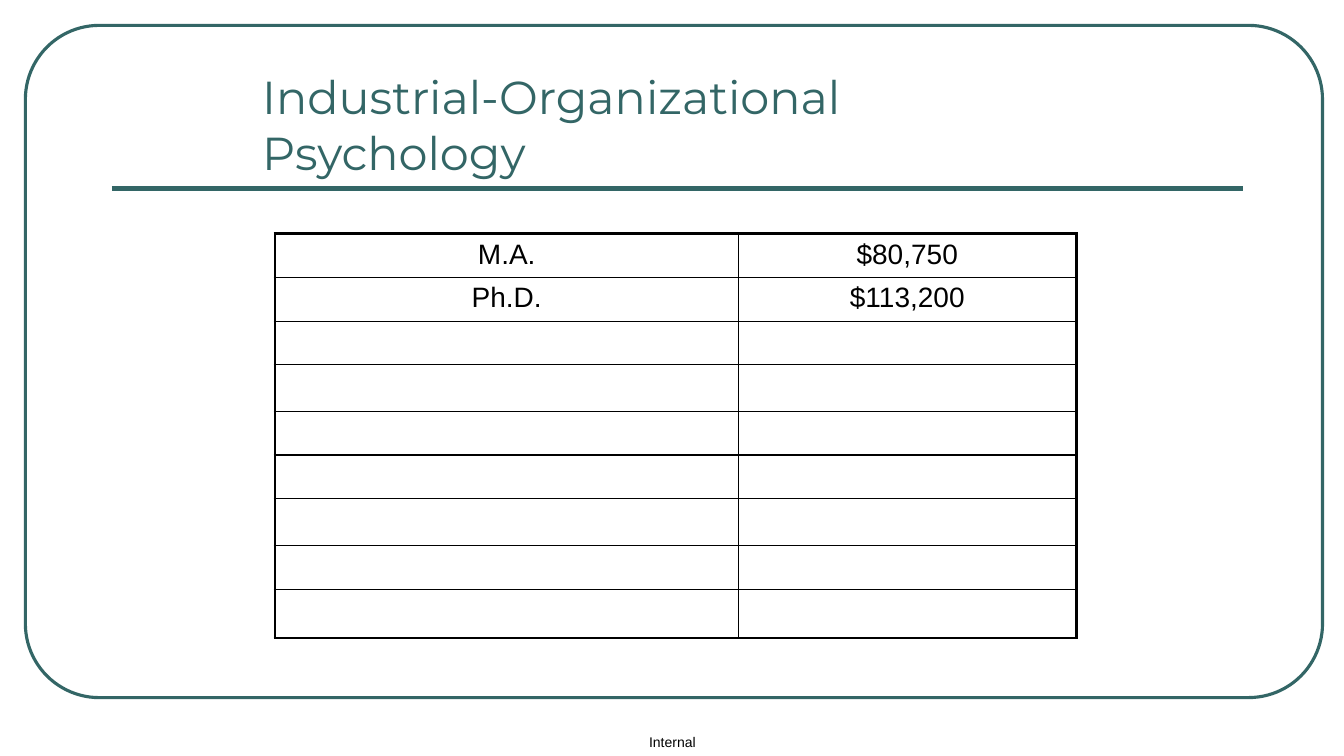
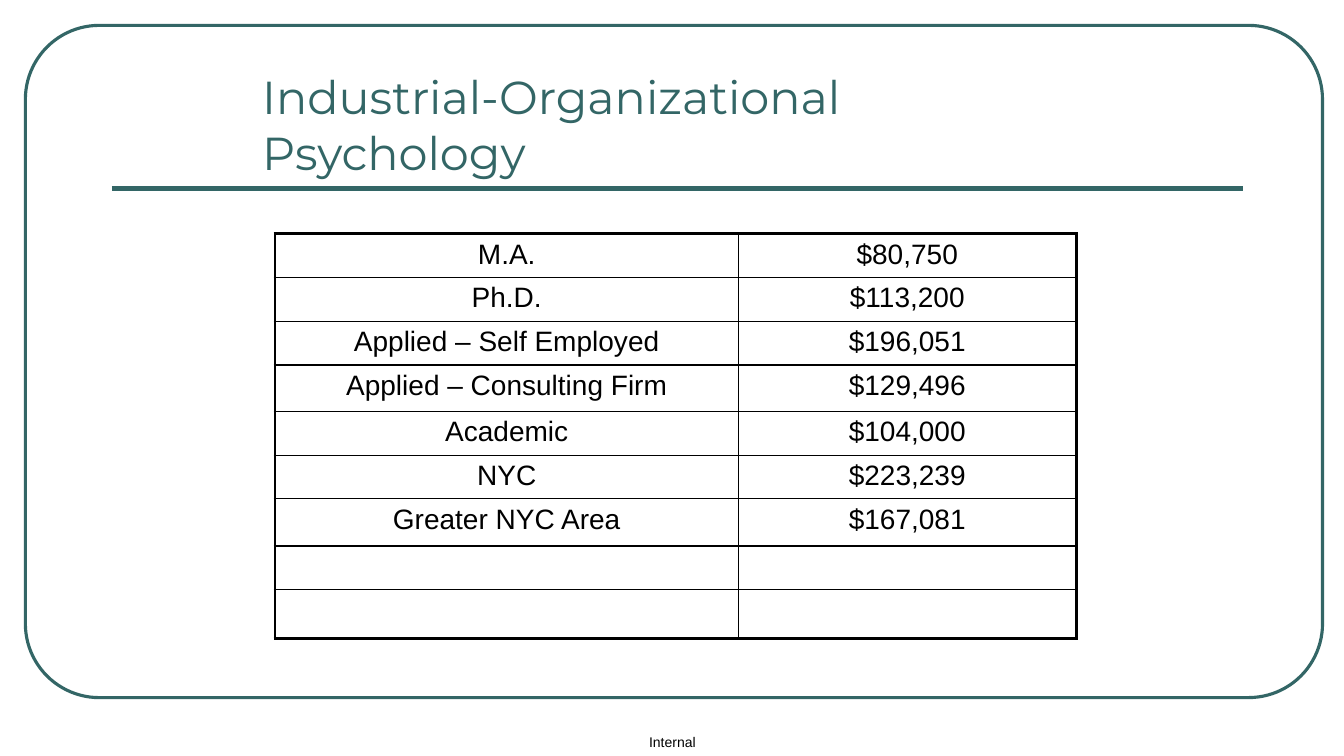
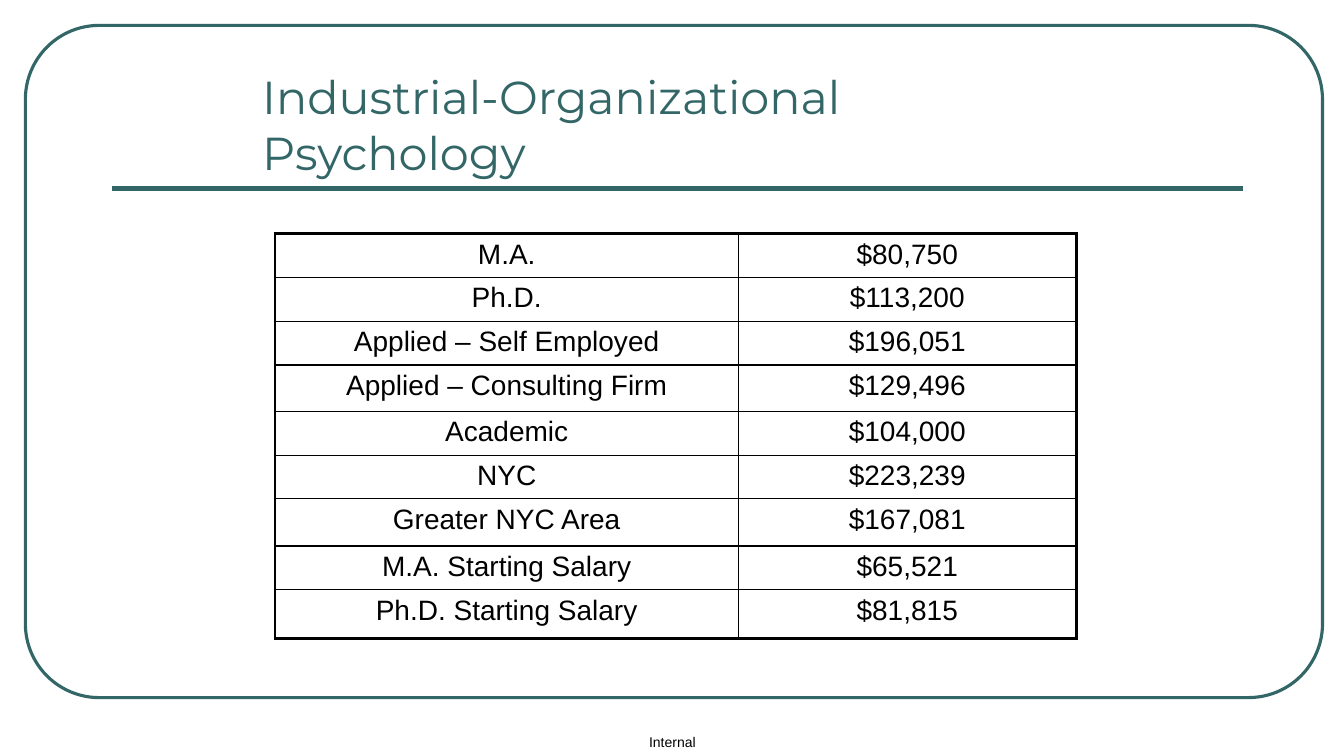
"""Build three slides that reveal a salary table step by step."""
from dataclasses import dataclass

from lxml.etree import SubElement
from pptx import Presentation
from pptx.dml.color import RGBColor
from pptx.enum.shapes import MSO_CONNECTOR, MSO_SHAPE
from pptx.enum.text import MSO_ANCHOR, MSO_AUTO_SIZE, PP_ALIGN
from pptx.oxml.ns import qn
from pptx.util import Cm, Pt

SALARIES = [
    ("M.A.", "$80,750"),
    ("Ph.D.", "$113,200"),
    ("Applied – Self Employed", "$196,051"),
    ("Applied – Consulting Firm", "$129,496"),
    ("Academic", "$104,000"),
    ("NYC", "$223,239"),
    ("Greater NYC Area", "$167,081"),
    ("M.A. Starting Salary", "$65,521"),
    ("Ph.D. Starting Salary", "$81,815"),
]
REVEALED_ROWS = (2, 7, 9)
COLUMN_WIDTHS = (11.68, 8.51)
ROW_HEIGHTS = (1.1, 1.1, 1.1, 1.17, 1.1, 1.1, 1.19, 1.1, 1.22)


@dataclass(frozen=True)
class Theme:
    """Colours, fonts, type sizes and line widths of the deck."""

    accent: RGBColor = RGBColor(0x33, 0x66, 0x66)
    ink: RGBColor = RGBColor(0, 0, 0)
    title_font: str = "Montserrat"
    body_font: str = "Arial"
    title_size: Pt = Pt(33)
    table_size: Pt = Pt(20)
    footer_size: Pt = Pt(10)
    frame_width: Pt = Pt(2.25)
    rule_width: Pt = Pt(3)
    outer_border: Pt = Pt(2.25)
    inner_border: Pt = Pt(1)


def apply_format(target, values):
    """Set each named attribute of the target."""
    for name, value in values.items():
        setattr(target, name, value)


class SlideBuilder:
    """Hold the theme and the current slide and draw its elements."""

    def __init__(self, presentation, theme):
        """Keep the presentation and the theme."""
        self.presentation = presentation
        self.theme = theme
        self.slide = None

    def start_slide(self):
        """Add a title-only slide and make it current."""
        layout = self.presentation.slide_layouts[5]
        self.slide = self.presentation.slides.add_slide(layout)

    def fill_text(self, text_frame, text, alignment, name, size, color):
        """Put one formatted paragraph into a text frame."""
        paragraph = text_frame.paragraphs[0]
        paragraph.alignment = alignment
        run = paragraph.add_run()
        run.text = text
        apply_format(run.font, {"name": name, "size": size})
        run.font.color.rgb = color

    def title(self, text):
        """Place and fill the title placeholder."""
        shape = self.slide.shapes.title
        apply_format(shape, {"left": Cm(6.35), "top": Cm(1.47),
                             "width": Cm(21.39), "height": Cm(3.18)})
        apply_format(shape.text_frame, {
            "vertical_anchor": MSO_ANCHOR.BOTTOM,
            "auto_size": MSO_AUTO_SIZE.NONE, "word_wrap": True})
        self.fill_text(shape.text_frame, text, PP_ALIGN.LEFT,
                       self.theme.title_font, self.theme.title_size,
                       self.theme.accent)

    def frame(self):
        """Draw the rounded outline around the slide."""
        shape = self.slide.shapes.add_shape(
            MSO_SHAPE.ROUNDED_RECTANGLE, Cm(0.64), Cm(0.64), Cm(32.69), Cm(16.94))
        shape.adjustments[0] = 0.11
        shape.shadow.inherit = False
        shape.fill.background()
        shape.line.color.rgb = self.theme.accent
        shape.line.width = self.theme.frame_width

    def rule(self):
        """Draw the line below the title."""
        connector = self.slide.shapes.add_connector(
            MSO_CONNECTOR.STRAIGHT, Cm(2.82), Cm(4.75), Cm(31.32), Cm(4.75))
        connector.line.color.rgb = self.theme.accent
        connector.line.width = self.theme.rule_width
        SubElement(connector._element.spPr, qn("a:effectLst"))

    def footer(self, text):
        """Place the centred footer label."""
        shape = self.slide.shapes.add_textbox(
            Cm(15.98), Cm(18.36), Cm(1.93), Cm(0.69))
        apply_format(shape.text_frame, {
            "margin_left": 0, "margin_right": 0, "margin_top": 0,
            "margin_bottom": 0, "word_wrap": True,
            "vertical_anchor": MSO_ANCHOR.MIDDLE})
        self.fill_text(shape.text_frame, text, PP_ALIGN.CENTER,
                       self.theme.body_font, self.theme.footer_size,
                       self.theme.ink)

    def borders(self, cell, outer_sides):
        """Give a cell thick borders on its outer sides and thin ones elsewhere."""
        properties = cell._tc.get_or_add_tcPr()
        for side, is_outer in outer_sides.items():
            width = self.theme.outer_border if is_outer else self.theme.inner_border
            line = SubElement(properties, qn(f"a:ln{side}"), w=str(int(width)))
            fill = SubElement(line, qn("a:solidFill"))
            SubElement(fill, qn("a:srgbClr"), val=str(self.theme.ink))

    def table(self, rows):
        """Draw the salary grid and fill the given rows."""
        row_count, column_count = len(ROW_HEIGHTS), len(COLUMN_WIDTHS)
        table = self.slide.shapes.add_table(
            row_count, column_count, Cm(6.93), Cm(5.89),
            Cm(sum(COLUMN_WIDTHS)), Cm(sum(ROW_HEIGHTS))).table
        apply_format(table, {"first_row": False, "horz_banding": False})
        for column, width in zip(table.columns, COLUMN_WIDTHS):
            column.width = Cm(width)
        for row, height in zip(table.rows, ROW_HEIGHTS):
            row.height = Cm(height)
        for index, cell in enumerate(table.iter_cells()):
            row, column = divmod(index, column_count)
            self.borders(cell, {"L": column == 0, "R": column == column_count - 1,
                                "T": row == 0, "B": row == row_count - 1})
            cell.fill.background()
            if row < len(rows):
                self.fill_text(cell.text_frame, rows[row][column],
                               PP_ALIGN.CENTER, self.theme.body_font,
                               self.theme.table_size, self.theme.ink)


def main():
    """Build and save the presentation."""
    presentation = Presentation()
    apply_format(presentation, {"slide_width": Cm(33.87), "slide_height": Cm(19.05)})
    builder = SlideBuilder(presentation, Theme())
    for revealed in REVEALED_ROWS:
        builder.start_slide()
        builder.frame()
        builder.rule()
        builder.footer("Internal")
        builder.table(SALARIES[:revealed])
        builder.title("Industrial-Organizational Psychology")
    presentation.save("out.pptx")


if __name__ == "__main__":
    main()
